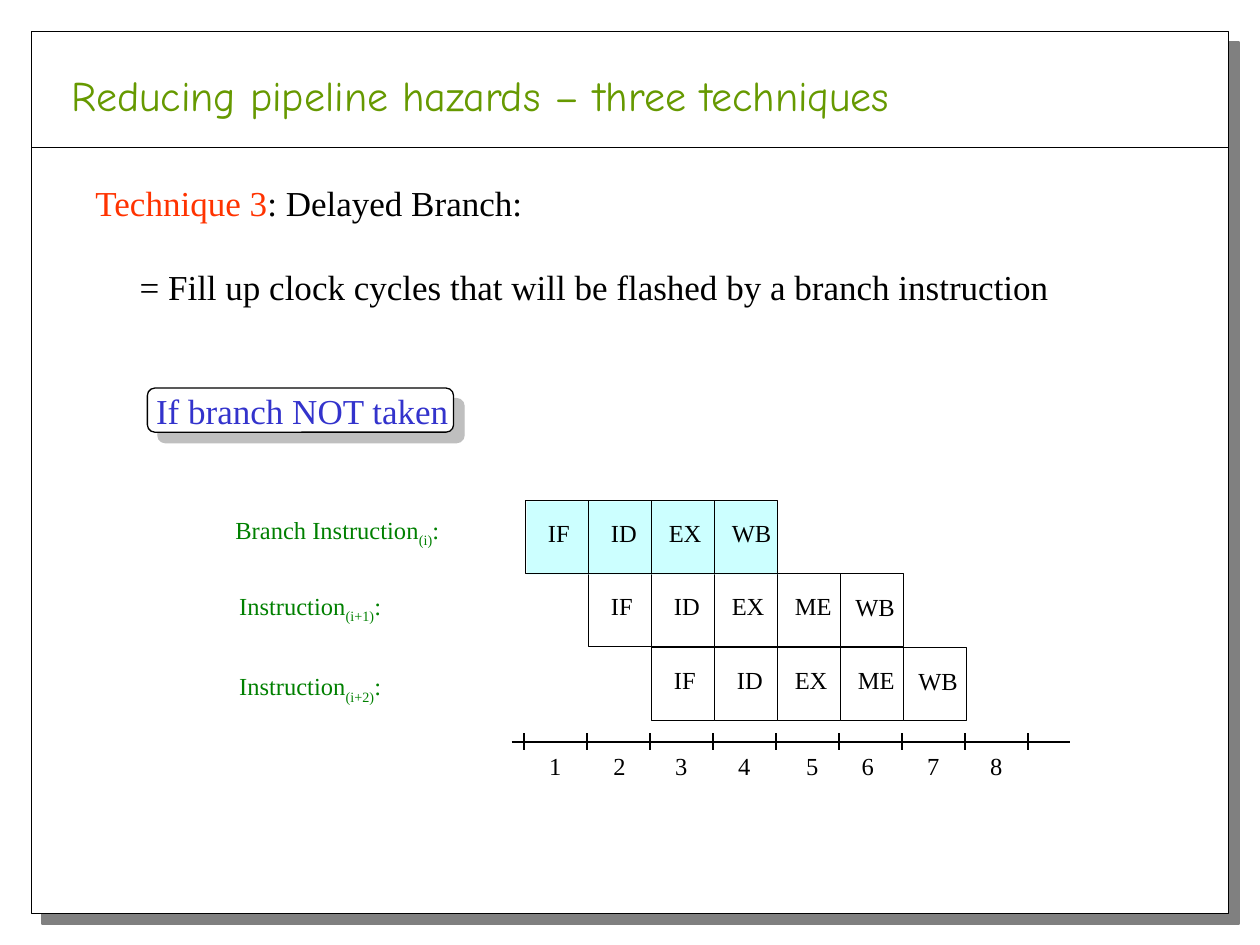
import pptx
import pptx.dml.color
import pptx.enum.shapes
import pptx.enum.text
import pptx.util
from lxml import etree
from pptx.oxml.ns import qn
from pptx.util import Inches

SHAPE = pptx.enum.shapes.MSO_SHAPE
BLACK, WHITE, GREEN = "000000", "FFFFFF", "008000"


def rgb(hex_string):
    return pptx.dml.color.RGBColor.from_string(hex_string)


def add_run(p, text, size=14, color=BLACK, font="Times New Roman", subscript=False):
    r = p.add_run()
    r.text = text
    r.font.size = pptx.util.Pt(size)
    r.font.name = font
    r.font.color.rgb = rgb(color)
    if subscript:
        r.font._element.set("baseline", "-25000")


def add_shadow(sp, opacity):
    """Cast a hard grey shadow to the lower right; opacity is in percent."""
    effects = sp._element.spPr.find(qn("a:effectLst"))
    shadow = etree.SubElement(effects, qn("a:outerShdw"), dist="107950",
                              dir="2700000", algn="ctr", rotWithShape="0")
    color = etree.SubElement(shadow, qn("a:srgbClr"), val="808080")
    etree.SubElement(color, qn("a:alpha"), val=str(opacity * 1000))


class PipelineSlide:
    """Holds the slide and its line style, and draws each kind of element."""

    cell_width, cell_height = 0.5, 0.58
    first_cell = 4.17
    line_width = pptx.util.Pt(0.75)
    # Stage: text offset from the cell's corner, and text width
    stages = {"IF": (0.08, 0.09, 0.41), "ID": (0.08, 0.09, 0.45),
              "EX": (0.04, 0.09, 0.5), "ME": (0.04, 0.09, 0.53),
              "WB": (0.02, 0.1, 0.56)}

    def __init__(self, prs):
        self.s = prs.slides.add_slide(prs.slide_layouts[6])

    def box(self, x, y, w, h, fill=WHITE, outline=True, kind=SHAPE.RECTANGLE):
        sp = self.s.shapes.add_shape(kind, Inches(x), Inches(y), Inches(w), Inches(h))
        sp.shadow.inherit = False
        if fill:
            sp.fill.solid()
            sp.fill.fore_color.rgb = rgb(fill)
        else:
            sp.fill.background()
        if outline:
            sp.line.color.rgb = rgb(BLACK)
            sp.line.width = self.line_width
        else:
            sp.line.fill.background()
        return sp

    def line(self, x1, y1, x2, y2):
        sp = self.s.shapes.add_connector(pptx.enum.shapes.MSO_CONNECTOR.STRAIGHT,
                                         Inches(x1), Inches(y1), Inches(x2), Inches(y2))
        sp.line.color.rgb = rgb(BLACK)
        sp.line.width = self.line_width
        etree.SubElement(sp._element.spPr, qn("a:effectLst"))

    def text(self, x, y, w, h, text, wrap=False, **style):
        """Add a text box and return its text frame."""
        sp = self.s.shapes.add_textbox(Inches(x), Inches(y), Inches(w), Inches(h))
        tf = sp.text_frame
        tf.word_wrap = wrap
        tf.auto_size = pptx.enum.text.MSO_AUTO_SIZE.SHAPE_TO_FIT_TEXT
        add_run(tf.paragraphs[0], text, **style)
        return tf

    def label(self, x, y, w, name, index):
        p = self.text(x, y, w, 0.37, name, wrap=True, color=GREEN).paragraphs[0]
        add_run(p, index, color=GREEN, subscript=True)
        add_run(p, ":", color=GREEN)

    def pipeline_row(self, start, y, names, fill=WHITE, nudges=None):
        """Draw one instruction's stages from the given clock cycle on."""
        for cycle, name in enumerate(names.split(), start):
            x = self.first_cell + (cycle - 1) * self.cell_width
            self.box(x, y, self.cell_width, self.cell_height, fill)
            dx, dy, w = (nudges or {}).get(name, self.stages[name])
            self.text(x + dx, y + dy, w, 0.34, name)

    def clock_axis(self, y, cycles):
        self.line(4.06, y, 8.49, y)
        for i in range(cycles + 1):
            x = 4.16 + i * self.cell_width
            self.line(x, y - 0.07, x, y + 0.06)
        nudges = {2: 0.01, 5: 0.04, 6: -0.02}
        for cycle in range(1, cycles + 1):
            x = 4.26 + (cycle - 1) * self.cell_width + nudges.get(cycle, 0)
            self.text(x, y + 0.02, 0.3, 0.34, str(cycle))


def main():
    prs = pptx.Presentation()
    prs.slide_width, prs.slide_height = Inches(10), Inches(7.5)
    slide = PipelineSlide(prs)

    add_shadow(slide.box(0.25, 0.25, 9.5, 7), 100)
    slide.line(0.25, 1.17, 9.75, 1.17)

    tf = slide.text(0.66, 1.39, 7.77, 1.1, "Technique 3", size=20, color="FF3300")
    add_run(tf.paragraphs[0], ": Delayed Branch:", size=20)
    p = tf.add_paragraph()
    p._p.get_or_add_pPr().set("marL", str(Inches(0.35)))
    p.space_before = pptx.util.Pt(24)
    add_run(p, "= Fill up clock cycles that will be flashed by a branch instruction", size=20)

    slide.pipeline_row(2, 4.55, "IF ID EX ME WB")
    slide.pipeline_row(3, 5.14, "IF ID EX ME WB")
    slide.clock_axis(5.89, 8)

    slide.label(1.77, 4.04, 2.3, "Branch Instruction", "(i)")
    slide.label(1.8, 4.64, 1.9, "Instruction", "(i+1)")
    slide.label(1.8, 5.28, 1.9, "Instruction", "(i+2)")

    slide.text(0.47, 0.5, 6.73, 0.5, "Reducing pipeline hazards – three techniques",
               size=24, color="669900", font="Comic Neue")

    add_shadow(slide.box(1.17, 3.08, 2.43, 0.35, kind=SHAPE.ROUNDED_RECTANGLE), 50)
    slide.text(1.14, 3.04, 2.52, 0.44, "If branch NOT taken", size=20, color="3333CC")

    slide.box(4.18, 3.98, 1.99, 0.58, fill="CCFFFF", outline=False)
    slide.pipeline_row(1, 3.97, "IF ID EX WB", fill=None, nudges={"WB": (0.04, 0.09, 0.56)})

    prs.save("out.pptx")


if __name__ == "__main__":
    main()
